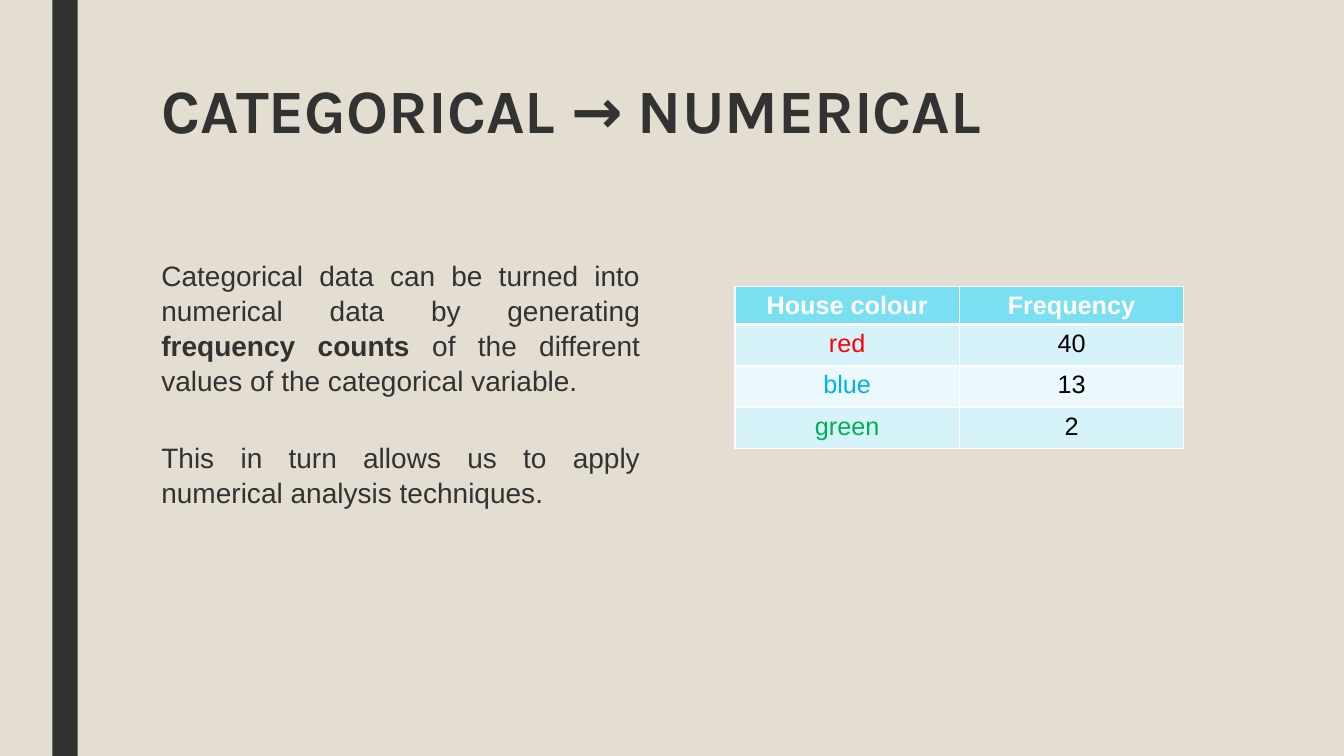
import pptx
import pptx.util
import pptx.dml.color
import pptx.enum.shapes
import pptx.enum.text
import pptx.oxml
import pptx.oxml.ns

Inches, Pt = pptx.util.Inches, pptx.util.Pt
ALIGN = pptx.enum.text.PP_ALIGN
COLORS = {
    "background": "E3DED1", "ink": "323232", "white": "FFFFFF", "black": "000000",
    "header": "7BDFF2", "band": "D7F3FA", "light": "ECF9FC",
    "red": "FF0000", "blue": "00B0F0", "green": "00B050",
}
FORMATS = {
    "title": {"name": "Karla", "size": Pt(44), "bold": True},
    "body": {"name": "Arial", "size": Pt(20), "bold": False},
    "key": {"name": "Arial", "size": Pt(20), "bold": True},
    "header": {"name": "Arial", "size": Pt(18), "bold": True},
    "cell": {"name": "Arial", "size": Pt(18), "bold": False},
}


def rgb(color):
    return pptx.dml.color.RGBColor.from_string(COLORS[color])


def apply(target, values):
    for attribute, value in values.items():
        setattr(target, attribute, value)


class SlideBuilder:
    """Draw styled elements on the current slide."""

    def __init__(self, deck):
        self.slide = deck.slides.add_slide(deck.slide_layouts[1])
        self.fill(self.slide.background, "background")

    def fill(self, target, color):
        target.fill.solid()
        target.fill.fore_color.rgb = rgb(color)

    def run(self, paragraph, text, style, color="ink"):
        run = paragraph.add_run()
        run.text = text
        apply(run.font, FORMATS[style])
        run.font.color.rgb = rgb(color)

    def place(self, index, left, top, width, height):
        holder = self.slide.placeholders[index]
        apply(holder, {"left": Inches(left), "top": Inches(top),
                       "width": Inches(width), "height": Inches(height)})
        apply(holder.text_frame, {
            "word_wrap": True,
            "auto_size": pptx.enum.text.MSO_AUTO_SIZE.NONE,
            "vertical_anchor": pptx.enum.text.MSO_ANCHOR.TOP,
        })
        return holder.text_frame

    def bar(self, left, top, width, height):
        bar = self.slide.shapes.add_shape(
            pptx.enum.shapes.MSO_SHAPE.RECTANGLE,
            Inches(left), Inches(top), Inches(width), Inches(height))
        bar.shadow.inherit = False
        bar.line.fill.background()
        self.fill(bar, "ink")

    def title(self, text, *box):
        heading = self.place(0, *box).paragraphs[0]
        apply(heading, {"alignment": ALIGN.LEFT, "line_spacing": 0.89})
        self.run(heading, text, "title")

    def body(self, passages, *box):
        frame = self.place(1, *box)
        for number, passage in enumerate(passages):
            paragraph = frame.add_paragraph() if number else frame.paragraphs[0]
            properties = paragraph._p.get_or_add_pPr()
            properties.set("marL", "0")
            properties.set("indent", "0")
            properties.append(pptx.oxml.parse_xml(
                f"<a:buNone {pptx.oxml.ns.nsdecls('a')}/>"))
            apply(paragraph, {"alignment": ALIGN.JUSTIFY, "line_spacing": 1.04,
                              "space_before": Pt(28 if number else 0),
                              "space_after": Pt(2)})
            for text, style in passage:
                self.run(paragraph, text, style)

    def borders(self, cell, widths):
        properties = cell._tc.get_or_add_tcPr()
        for side, width in widths.items():
            properties.append(pptx.oxml.parse_xml(
                f'<a:ln{side} {pptx.oxml.ns.nsdecls("a")} w="{Pt(width)}"><a:solidFill>'
                f'<a:srgbClr val="{COLORS["white"]}"/></a:solidFill></a:ln{side}>'))

    def table(self, rows, heights, left, top, width):
        table = self.slide.shapes.add_table(
            len(rows), len(rows[0]), Inches(left), Inches(top),
            Inches(width), Inches(sum(heights))).table
        for number, (row, height) in enumerate(zip(rows, heights)):
            table.rows[number].height = Inches(height)
            for column, text in enumerate(row):
                cell = table.cell(number, column)
                if number == 0:
                    style, fill, color = "header", "header", "white"
                else:
                    style, fill = "cell", "band" if number % 2 else "light"
                    color = text if text in COLORS else "black"
                self.borders(cell, {"L": 1, "R": 1, "T": 3 if number == 1 else 1,
                                    "B": 1 if number else 3})
                self.fill(cell, fill)
                paragraph = cell.text_frame.paragraphs[0]
                paragraph.alignment = ALIGN.CENTER
                self.run(paragraph, text, style, color)


def main():
    deck = pptx.Presentation()
    apply(deck, {"slide_width": Inches(13.33), "slide_height": Inches(7.5)})
    builder = SlideBuilder(deck)
    builder.bar(0.52, 0, 0.25, 7.5)
    builder.title("CATEGORICAL → NUMERICAL", 1.5, 0.75, 10.5, 1.62)
    builder.body([
        [("Categorical data can be turned into numerical data by generating ", "body"),
         ("frequency counts", "key"),
         (" of the different values of the categorical variable.", "body")],
        [("This in turn allows us to apply numerical analysis techniques.", "body")],
    ], 1.5, 2.5, 4.95, 3.92)
    builder.table([("House colour", "Frequency"), ("red", "40"),
                   ("blue", "13"), ("green", "2")],
                  [0.38] + [0.41] * 3, 7.29, 2.84, 4.45)
    deck.save("out.pptx")


if __name__ == "__main__":
    main()
